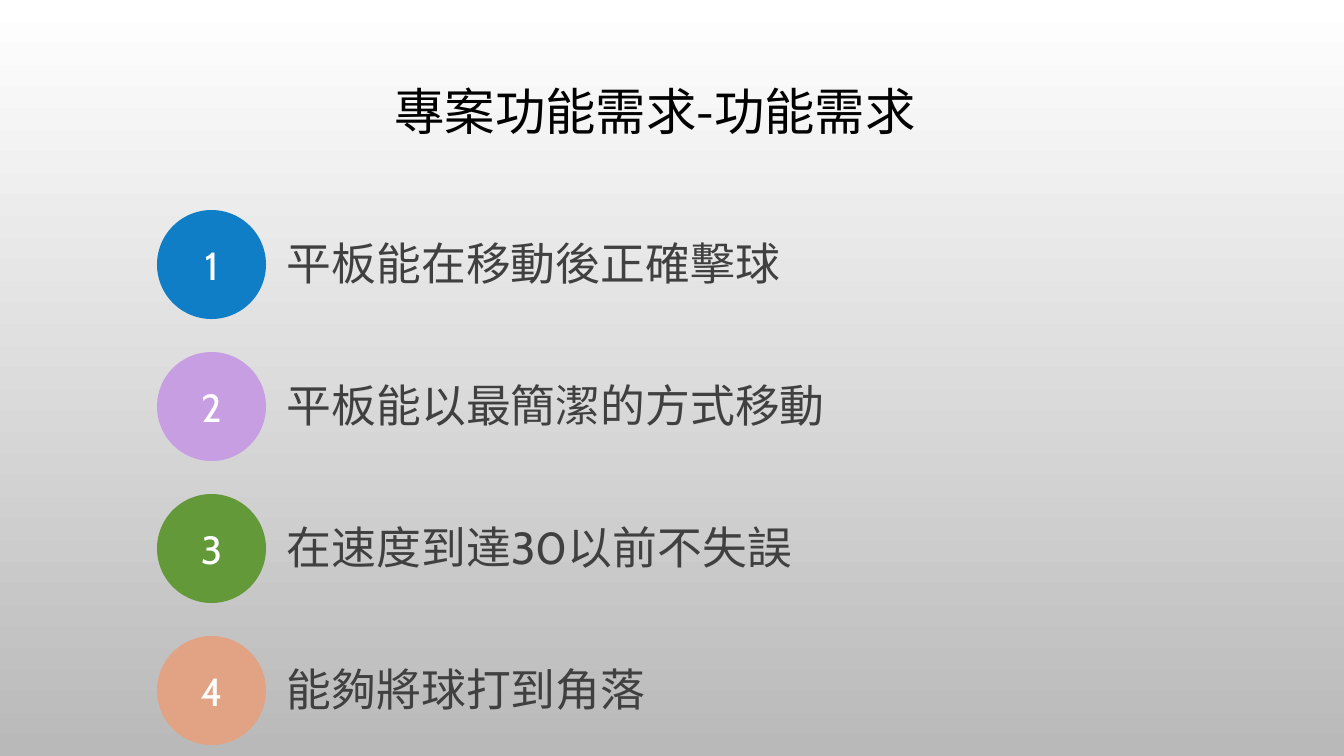
from lxml.etree import SubElement
from pptx import Presentation
from pptx.dml.color import RGBColor
from pptx.enum.shapes import MSO_SHAPE as Shape
from pptx.enum.text import MSO_ANCHOR as Anchor, PP_ALIGN as Align
from pptx.oxml.ns import qn
from pptx.util import Pt

PX = 914400 / 100.8
CHINESE_FONT = "Noto Sans CJK TC"


def color(hex_code):
    return RGBColor.from_string(hex_code)


def write(box, text, size, font_name, hex_code, align, anchor):
    frame = box.text_frame
    frame.text = text
    frame.word_wrap = True
    frame.vertical_anchor = anchor
    para = frame.paragraphs[0]
    para.alignment = align
    span = para.runs[0]
    span.font.size = Pt(size)
    span.font.name = font_name
    span.font.color.rgb = color(hex_code)
    SubElement(span.font._element, qn("a:ea")).set("typeface", CHINESE_FONT)
    return para


deck = Presentation()
deck.slide_width, deck.slide_height = round(1344 * PX), round(756 * PX)
page = deck.slides.add_slide(deck.slide_layouts[6])

# Background: white at the top to grey at the bottom
background = page.background.fill
background.gradient()
background.gradient_angle = 270
for stop, shade in zip(background.gradient_stops, ["FFFFFF", "B9B9B9"]):
    stop.color.rgb = color(shade)

# Title
title = page.shapes.add_textbox(*[round(v * PX) for v in (98, 74, 1114, 80)])
title_para = write(title, "專案功能需求-功能需求", 36, CHINESE_FONT, "000000",
                   Align.CENTER, Anchor.MIDDLE)
title_para.line_spacing = 0.9

# Numbered requirements
requirements = [
    ("平板能在移動後正確擊球", "107EC6"),
    ("平板能以最簡潔的方式移動", "C89EE3"),
    ("在速度到達30以前不失誤", "649939"),
    ("能夠將球打到角落", "E2A385"),
]
for index, (requirement, fill) in enumerate(requirements):
    top = 210 + 142 * index

    badge = page.shapes.add_shape(
        Shape.OVAL, *[round(v * PX) for v in (157, top, 109, 109)])
    badge.shadow.inherit = False
    badge.fill.solid()
    badge.fill.fore_color.rgb = color(fill)
    badge.line.fill.background()
    write(badge, str(index + 1), 28, "Cabin", "FFFFFF", Align.CENTER, Anchor.MIDDLE)

    label = page.shapes.add_textbox(
        *[round(v * PX) for v in (277, top + 21, 568, 65)])
    write(label, requirement, 32, "Cabin", "404040", Align.LEFT, Anchor.TOP)

deck.save("out.pptx")
